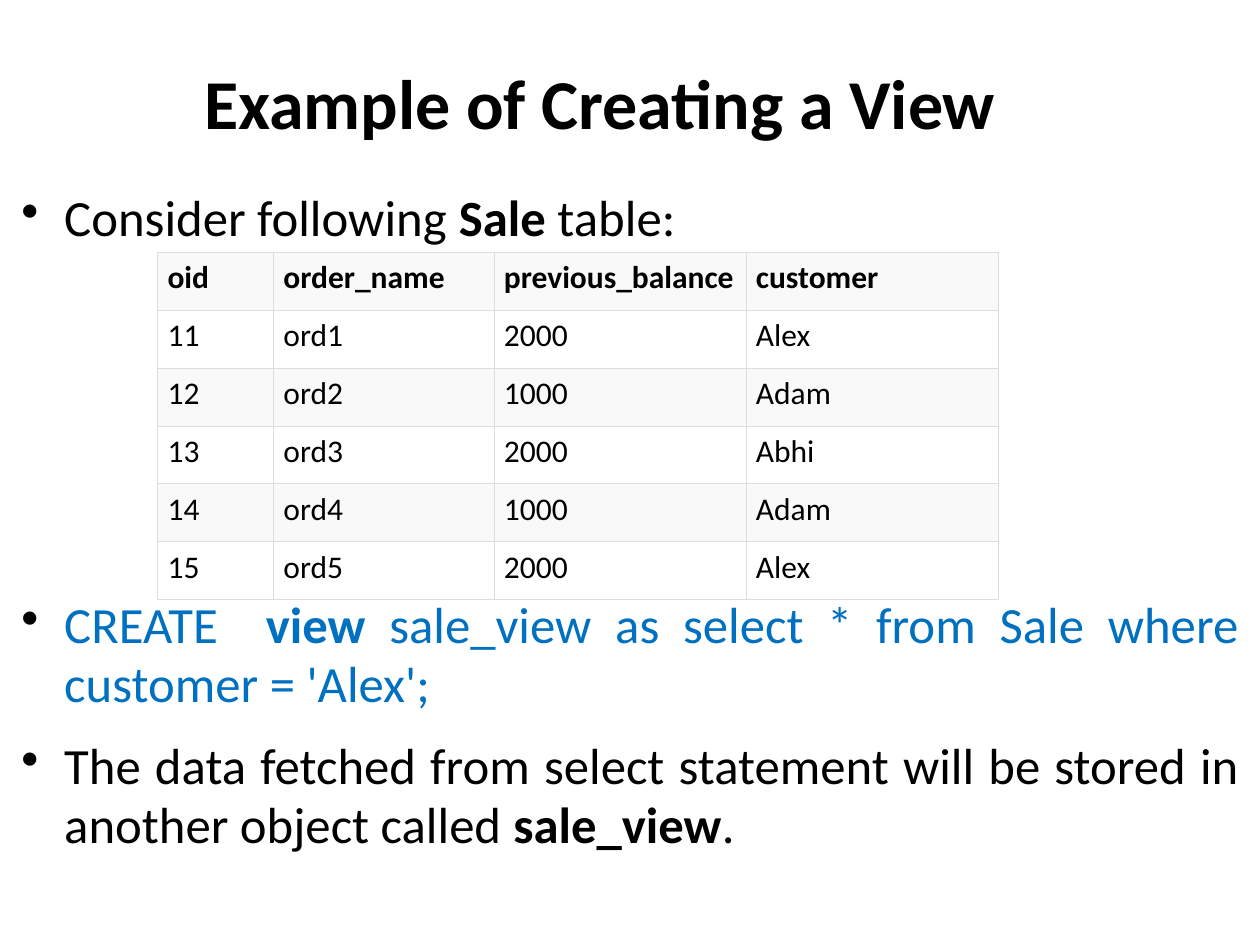
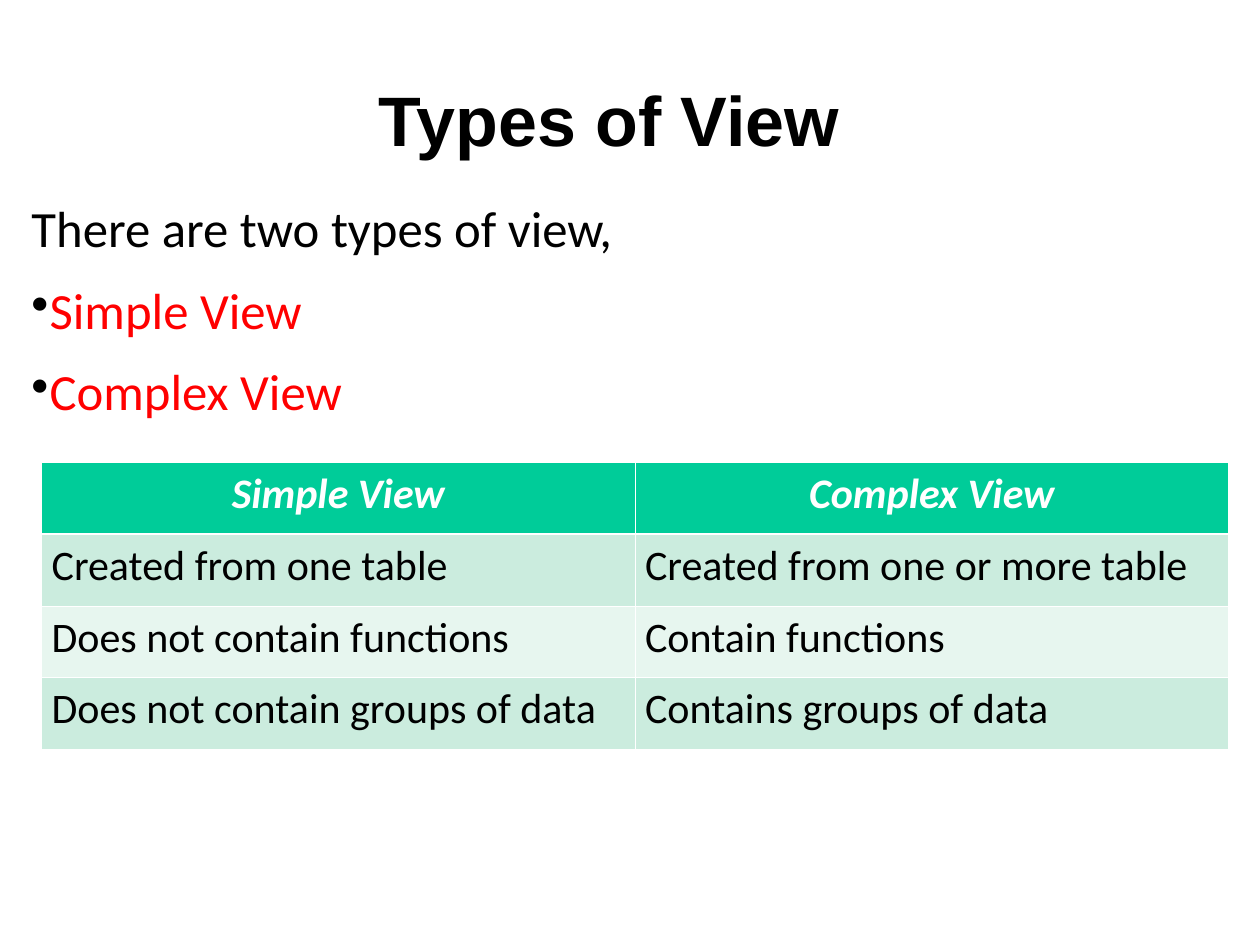
from lxml.etree import SubElement
from pptx import Presentation
from pptx.dml.color import RGBColor
from pptx.enum.text import MSO_ANCHOR, PP_ALIGN
from pptx.oxml.ns import qn
from pptx.util import Inches, Pt

COLORS = {
    "text": "000000", "white": "FFFFFF", "statement": "0070C0", "term": "FF0000",
    "sale_band": "F9F9F9", "sale_grid": "DDDDDD",
    "view_header": "00CC99", "view_dark": "CBECDE", "view_light": "E7F6EF",
}
BODY_SIZE, TITLE_SIZE = 29, 40
LINE_SPACING, PARAGRAPH_GAP = 0.97, 12.9
SALE_TABLE_GAP = 199  # points left open for the table inside the text
CELL_MARGINS = {"margin_left": 0.08, "margin_right": 0.08,
                "margin_top": 0.05, "margin_bottom": 0.05}
BODY_MARGINS = {"margin_left": 0, "margin_right": 0,
                "margin_top": 0.17, "margin_bottom": 0}

# Text runs are (text, bold)
SLIDES = [
    {
        "title": {"text": "Example of Creating a View", "font": "Calibri",
                  "at": (0.33, 0.5, 8.86, 0.67), "wrap": True,
                  "align": PP_ALIGN.CENTER, "anchor": MSO_ANCHOR.MIDDLE,
                  "spacing": LINE_SPACING},
        "body": {
            "at": (0.17, 1.33, 9.67, 6), "align": PP_ALIGN.JUSTIFY, "indent": 0.34,
            "paragraphs": [
                {"runs": [("Consider following ", False), ("Sale", True),
                          (" table:", False)],
                 "gap": SALE_TABLE_GAP},
                {"runs": [("CREATE  ", False), ("view", True),
                          (" sale_view as select * from Sale where customer = 'Alex';",
                           False)],
                 "color": "statement"},
                {"runs": [("The data fetched from select statement will be stored in "
                           "another object called ", False),
                          ("sale_view", True), (".", False)]},
            ],
        },
        "table": {
            "rows": [
                ("oid", "order_name", "previous_balance", "customer"),
                ("11", "ord1", "2000", "Alex"),
                ("12", "ord2", "1000", "Adam"),
                ("13", "ord3", "2000", "Abhi"),
                ("14", "ord4", "1000", "Adam"),
                ("15", "ord5", "2000", "Alex"),
            ],
            "at": (1.25, 2), "widths": (0.92, 1.75, 2, 2), "row_height": 0.46,
            "size": 18, "header": {"bold": True}, "header_color": "text",
            "header_fill": "sale_band", "bands": ("white", "sale_band"),
            "align": PP_ALIGN.LEFT,
            "grid": "sale_grid", "grid_width": 0.34, "header_rule": 0.34,
        },
    },
    {
        "title": {"text": "Types of View", "font": "Arial",
                  "at": (2.91, 0.56, 3.9, 0.77), "wrap": False,
                  "align": PP_ALIGN.LEFT, "anchor": MSO_ANCHOR.TOP, "spacing": 1.0},
        "body": {
            "at": (0.25, 1.42, 9.33, 5.75), "align": PP_ALIGN.LEFT, "indent": 0,
            "paragraphs": [
                {"runs": [("There are two types of view,", False)], "bullet": False},
                {"runs": [("Simple View", False)], "color": "term"},
                {"runs": [("Complex View", False)], "color": "term"},
            ],
        },
        "table": {
            "rows": [
                ("Simple View", "Complex View"),
                ("Created from one table", "Created from one or more table"),
                ("Does not contain functions", "Contain functions"),
                ("Does not contain groups of data", "Contains groups of data"),
            ],
            "at": (0.33, 3.67), "widths": (4.71, 4.71), "row_height": 0.57,
            "size": 24, "header": {"bold": True, "italic": True},
            "header_color": "white", "header_fill": "view_header",
            "bands": ("view_dark", "view_light"), "align": PP_ALIGN.CENTER,
            "grid": "white", "grid_width": 0.45, "header_rule": 1.47,
        },
    },
]


def rgb(color):
    return RGBColor.from_string(COLORS[color])


def set_margins(target, margins):
    for side, inches in margins.items():
        setattr(target, side, Inches(inches))


def add_run(paragraph, text, size, color="text", font="Calibri", **styles):
    run = paragraph.add_run()
    run.text = text
    run.font.color.rgb = rgb(color)
    for name, value in {"name": font, "size": Pt(size), **styles}.items():
        setattr(run.font, name, value)


def add_frame(slide, at):
    frame = slide.shapes.add_textbox(*map(Inches, at)).text_frame
    frame.word_wrap = True
    return frame


def add_title(slide, title):
    frame = add_frame(slide, title["at"])
    frame.word_wrap = title["wrap"]
    frame.vertical_anchor = title["anchor"]
    heading = frame.paragraphs[0]
    heading.alignment = title["align"]
    heading.line_spacing = title["spacing"]
    add_run(heading, title["text"], TITLE_SIZE, font=title["font"], bold=True)


def add_bullet(paragraph, indent):
    properties = paragraph._p.get_or_add_pPr()
    properties.set("marL", str(Inches(indent)))
    properties.set("indent", str(-Inches(indent)))
    bullet_color = SubElement(properties, qn("a:buClr"))
    SubElement(bullet_color, qn("a:srgbClr"), val=COLORS["text"])
    SubElement(properties, qn("a:buChar"), char="•")


def add_body(slide, body):
    frame = add_frame(slide, body["at"])
    set_margins(frame, BODY_MARGINS)
    for index, content in enumerate(body["paragraphs"]):
        paragraph = frame.add_paragraph() if index else frame.paragraphs[0]
        if content.get("bullet", True):
            add_bullet(paragraph, body["indent"])
        paragraph.alignment = body["align"]
        paragraph.line_spacing = LINE_SPACING
        paragraph.space_after = Pt(content.get("gap", PARAGRAPH_GAP))
        for text, bold in content["runs"]:
            add_run(paragraph, text, BODY_SIZE, content.get("color", "text"), bold=bold)


def add_borders(cell, color, widths):
    properties = cell._tc.get_or_add_tcPr()
    for side, width in widths.items():
        line = SubElement(properties, qn(f"a:ln{side}"), w=str(Pt(width)))
        fill = SubElement(line, qn("a:solidFill"))
        SubElement(fill, qn("a:srgbClr"), val=COLORS[color])


def add_table(slide, content):
    rows, widths = content["rows"], content["widths"]
    size = (sum(widths), content["row_height"] * len(rows))
    table = slide.shapes.add_table(len(rows), len(widths),
                                   *map(Inches, content["at"] + size)).table
    for column, width in zip(table.columns, widths):
        column.width = Inches(width)
    for index, texts in enumerate(rows):
        table.rows[index].height = Inches(content["row_height"])
        is_header = index == 0
        borders = dict.fromkeys("LRTB", content["grid_width"])
        if index < 2:
            borders["B" if is_header else "T"] = content["header_rule"]
        fill = content["header_fill"] if is_header else content["bands"][(index - 1) % 2]
        color = content["header_color"] if is_header else "text"
        styles = {"bold": False, "italic": False,
                  **(content["header"] if is_header else {})}
        for column, text in enumerate(texts):
            cell = table.cell(index, column)
            set_margins(cell, CELL_MARGINS)
            add_borders(cell, content["grid"], borders)
            cell.fill.solid()
            cell.fill.fore_color.rgb = rgb(fill)
            paragraph = cell.text_frame.paragraphs[0]
            paragraph.alignment = content["align"] if is_header else PP_ALIGN.LEFT
            add_run(paragraph, text, content["size"], color, **styles)


def main():
    presentation = Presentation()
    presentation.slide_width, presentation.slide_height = Inches(10), Inches(7.5)
    for content in SLIDES:
        slide = presentation.slides.add_slide(presentation.slide_layouts[6])
        add_title(slide, content["title"])
        add_body(slide, content["body"])
        add_table(slide, content["table"])
    presentation.save("out.pptx")


if __name__ == "__main__":
    main()
